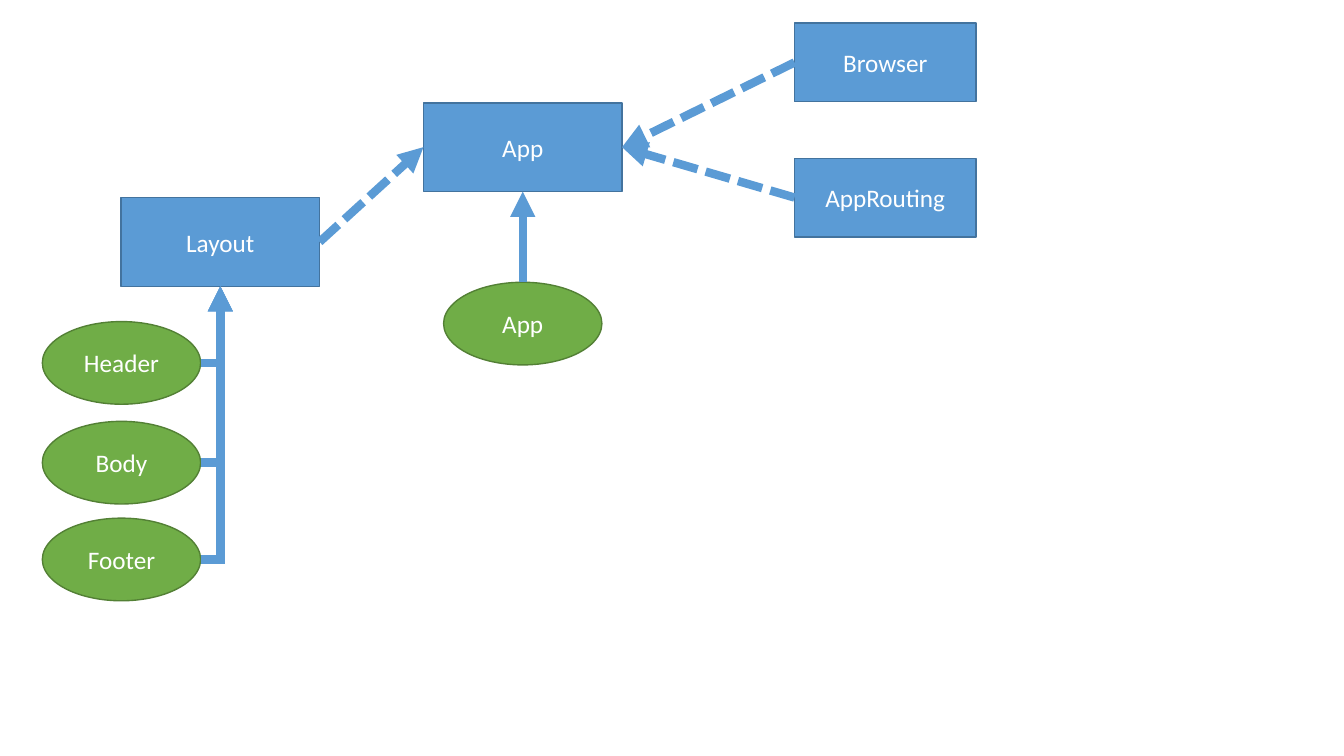
from lxml.etree import SubElement
from pptx import Presentation
from pptx.dml.color import RGBColor
from pptx.enum.dml import MSO_LINE
from pptx.enum.shapes import MSO_CONNECTOR as Link, MSO_SHAPE as Shape
from pptx.enum.text import MSO_ANCHOR, PP_ALIGN
from pptx.oxml.ns import qn
from pptx.util import Inches, Pt

BLUE = RGBColor(0x5B, 0x9B, 0xD5)
BLUE_EDGE = RGBColor(0x43, 0x73, 0x9E)
GREEN = RGBColor(0x70, 0xAD, 0x47)
GREEN_EDGE = RGBColor(0x53, 0x80, 0x35)
WHITE = RGBColor(0xFF, 0xFF, 0xFF)

TOP, LEFT, BOTTOM, RIGHT = range(4)
MODULE_SIZE = (19.7, 8.8)
IMPORT_SIZE = (18, 7.8)
COMPONENT_SIZE = (15.7, 8.2)


class Diagram:
    """Draws on one page; places and sizes are (columns, rows) of a square grid."""

    cell = Inches(0.1)
    font = "Calibri"
    font_size = Pt(18)
    edge_width = Pt(1)
    arrow_width = Pt(6)

    def __init__(self, page):
        self.shapes = page.shapes

    def grid(self, *counts):
        return [round(count * self.cell) for count in counts]

    def node(self, kind, label, place, size, fill, edge):
        box = self.shapes.add_shape(kind, *self.grid(*place, *size))
        box.shadow.inherit = False
        box.fill.solid()
        box.fill.fore_color.rgb = fill
        box.line.color.rgb = edge
        box.line.width = self.edge_width
        frame = box.text_frame
        frame.word_wrap = True
        frame.vertical_anchor = MSO_ANCHOR.MIDDLE
        para = frame.paragraphs[0]
        para.alignment = PP_ALIGN.CENTER
        span = para.add_run()
        span.text = label
        span.font.name = self.font
        span.font.size = self.font_size
        span.font.color.rgb = WHITE
        return box

    def module(self, label, place, size=MODULE_SIZE):
        return self.node(Shape.RECTANGLE, label, place, size, BLUE, BLUE_EDGE)

    def component(self, label, place):
        return self.node(Shape.OVAL, label, place, COMPONENT_SIZE, GREEN, GREEN_EDGE)

    def style_arrow(self, arrow, dashed=False):
        arrow.line.color.rgb = BLUE
        arrow.line.width = self.arrow_width
        if dashed:
            arrow.line.dash_style = MSO_LINE.SQUARE_DOT
        properties = arrow._element.spPr
        outline = properties.find(qn("a:ln"))
        SubElement(outline, qn("a:miter"), lim="800000")
        SubElement(outline, qn("a:tailEnd"), type="triangle")
        SubElement(properties, qn("a:effectLst"))

    def straight_arrow(self, source, source_side, target, target_side, dashed=False):
        arrow = self.shapes.add_connector(Link.STRAIGHT, 0, 0, 0, 0)
        arrow.begin_connect(source, source_side)
        arrow.end_connect(target, target_side)
        self.style_arrow(arrow, dashed)

    def elbow_arrow(self, source, target):
        """Leaves the source's right side and turns up once, to the target's bottom."""
        arrow = self.shapes.add_connector(
            Link.ELBOW,
            source.left + source.width, source.top + source.height // 2,
            target.left + target.width // 2, target.top + target.height)
        arrow._element.spPr.find(qn("a:prstGeom")).set("prst", "bentConnector2")
        self.style_arrow(arrow)


def main():
    deck = Presentation()
    deck.slide_width, deck.slide_height = Inches(13.33), Inches(7.5)
    diagram = Diagram(deck.slides.add_slide(deck.slide_layouts[6]))

    app = diagram.module("App", (42, 10.2))
    app_component = diagram.component("App", (44, 28))
    diagram.straight_arrow(app_component, TOP, app, BOTTOM)

    for label, row in (("Browser", 2.3), ("AppRouting", 15.7)):
        imported = diagram.module(label, (78.8, row), IMPORT_SIZE)
        diagram.straight_arrow(imported, LEFT, app, RIGHT, dashed=True)

    layout = diagram.module("Layout", (12, 19.6))
    for label, row in (("Header", 31.9), ("Body", 41.8), ("Footer", 51.4)):
        diagram.elbow_arrow(diagram.component(label, (4.2, row)), layout)
    diagram.straight_arrow(layout, RIGHT, app, LEFT, dashed=True)

    deck.save("out.pptx")


if __name__ == "__main__":
    main()
